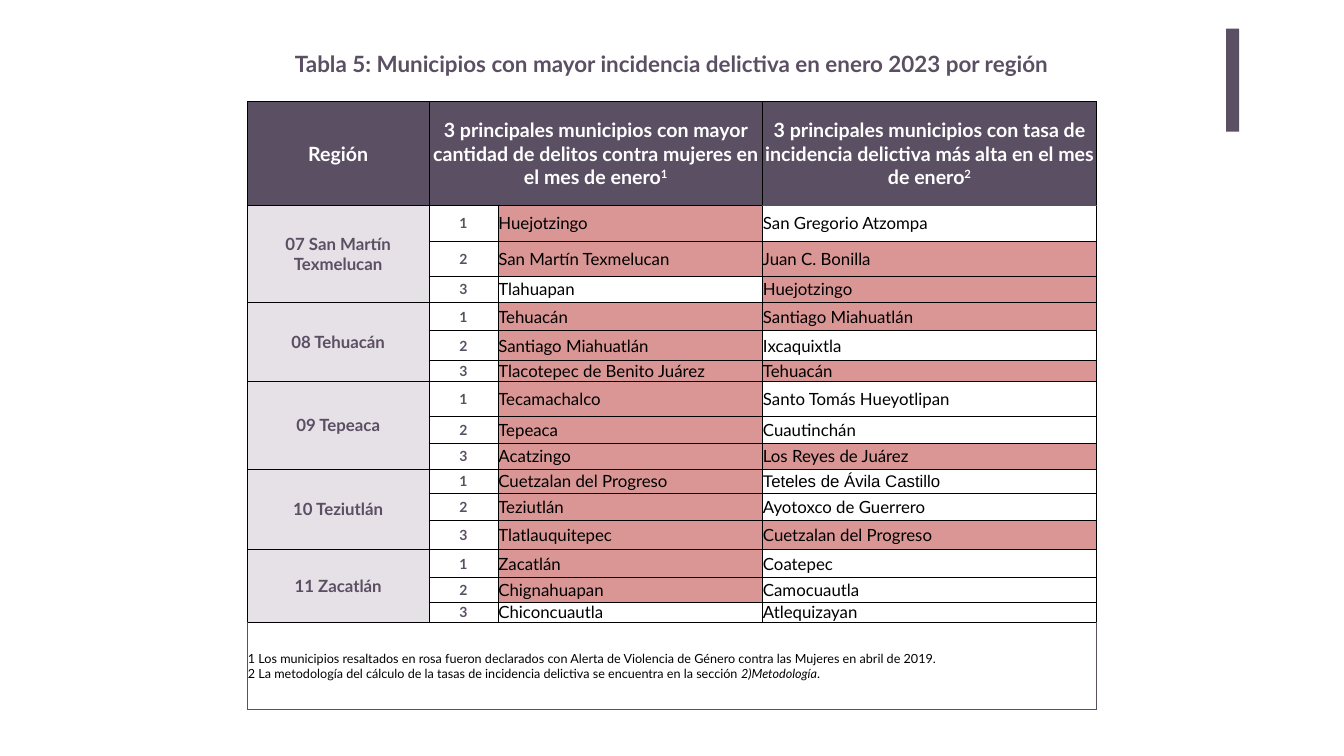
import pptx
import pptx.util
import pptx.dml.color
import pptx.enum.shapes
import pptx.enum.text
import pptx.oxml
import pptx.oxml.ns

Inches = pptx.util.Inches
ALIGN = pptx.enum.text.PP_ALIGN
MIDDLE = pptx.enum.text.MSO_ANCHOR.MIDDLE
PURPLE, LILAC, PINK, WHITE, BLACK = "5B4F63", "E5E1E7", "D99694", "FFFFFF", "000000"


def paint(color_target, color):
    if hasattr(color_target, "solid"):
        color_target.solid()
        color_target = color_target.fore_color
    color_target.rgb = pptx.dml.color.RGBColor.from_string(color)


def write(paragraph, text, size=24, color=BLACK, bold=False, italic=False,
          font="Lato", align=ALIGN.LEFT, superscript=False):
    paragraph.alignment = align
    run = paragraph.add_run()
    run.text = text
    run.font.name = font
    run.font.size = pptx.util.Pt(size)
    run.font.bold = bold
    run.font.italic = italic
    paint(run.font.color, color)
    if superscript:
        run.font._element.set("baseline", "30000")


presentation = pptx.Presentation()
presentation.slide_width = Inches(26.67)
presentation.slide_height = Inches(15)
slide = presentation.slides.add_slide(presentation.slide_layouts[6])

accent_bar = slide.shapes.add_shape(
    pptx.enum.shapes.MSO_SHAPE.RECTANGLE,
    Inches(24.33), Inches(0.57), Inches(0.26), Inches(2.04))
accent_bar.shadow.inherit = False
paint(accent_bar.fill, PURPLE)
accent_bar.line.fill.background()

title = slide.shapes.add_textbox(Inches(4.24), Inches(0.95), Inches(18.18), Inches(0.64))
title.text_frame.word_wrap = True
write(title.text_frame.paragraphs[0],
      "Tabla 5: Municipios con mayor incidencia delictiva en enero 2023 por región",
      size=32, color=PURPLE, bold=True, align=ALIGN.CENTER)

regions = [
    ("07 San Martín Texmelucan", [
        ("Huejotzingo", "San Gregorio Atzompa"),
        ("San Martín Texmelucan", "Juan C. Bonilla"),
        ("Tlahuapan", "Huejotzingo")]),
    ("08 Tehuacán", [
        ("Tehuacán", "Santiago Miahuatlán"),
        ("Santiago Miahuatlán", "Ixcaquixtla"),
        ("Tlacotepec de Benito Juárez", "Tehuacán")]),
    ("09 Tepeaca", [
        ("Tecamachalco", "Santo Tomás Hueyotlipan"),
        ("Tepeaca", "Cuautinchán"),
        ("Acatzingo", "Los Reyes de Juárez")]),
    ("10 Teziutlán", [
        ("Cuetzalan del Progreso", "Teteles de Ávila Castillo"),
        ("Teziutlán", "Ayotoxco de Guerrero"),
        ("Tlatlauquitepec", "Cuetzalan del Progreso")]),
    ("11 Zacatlán", [
        ("Zacatlán", "Coatepec"),
        ("Chignahuapan", "Camocuautla"),
        ("Chiconcuautla", "Atlequizayan")]),
]
without_alert = {
    "San Gregorio Atzompa", "Tlahuapan", "Ixcaquixtla", "Santo Tomás Hueyotlipan",
    "Cuautinchán", "Teteles de Ávila Castillo", "Ayotoxco de Guerrero", "Coatepec",
    "Camocuautla", "Chiconcuautla", "Atlequizayan"}
column_widths = [3.6, 1.37, 5.25, 6.63]
row_heights = [2.07, 0.7, 0.7, 0.52, 0.56, 0.59, 0.38, 0.7, 0.53,
               0.52, 0.48, 0.54, 0.57, 0.56, 0.48, 0.38, 1.73]
note_row = len(row_heights) - 1

table = slide.shapes.add_table(
    len(row_heights), len(column_widths), Inches(4.91), Inches(2.01),
    Inches(sum(column_widths)), Inches(sum(row_heights))).table
table.first_row = False
table.horz_banding = False
for column, width in zip(table.columns, column_widths):
    column.width = Inches(width)
for row, height in zip(table.rows, row_heights):
    row.height = Inches(height)

for row_index in range(len(row_heights)):
    for column_index in range(len(column_widths)):
        cell = table.cell(row_index, column_index)
        cell.vertical_anchor = MIDDLE
        cell.margin_left = cell.margin_right = cell.margin_top = Inches(0.01)
        cell.margin_bottom = 0
        properties = cell._tc.get_or_add_tcPr()
        for side in "LRTB":
            color, width = BLACK, 0.5
            if row_index == note_row and side != "T":
                color, width = PURPLE, 1
            elif column_index == 3 and (row_index, side) in [(0, "B"), (1, "T")]:
                color = PURPLE
            properties.append(pptx.oxml.parse_xml(
                f'<a:ln{side} {pptx.oxml.ns.nsdecls("a")} w="{pptx.util.Pt(width)}">'
                f'<a:solidFill><a:srgbClr val="{color}"/></a:solidFill></a:ln{side}>'))
        if row_index == 0:
            paint(cell.fill, PURPLE)
        else:
            cell.fill.background()

table.cell(0, 1).merge(table.cell(0, 2))
table.cell(note_row, 0).merge(table.cell(note_row, 3))

headers = [
    (0, "Región", ""),
    (1, "3 principales municipios con mayor cantidad de delitos contra mujeres en el mes de enero", "1"),
    (3, "3 principales municipios con tasa de incidencia delictiva más alta en el mes de enero", "2"),
]
for column_index, text, mark in headers:
    paragraph = table.cell(0, column_index).text_frame.paragraphs[0]
    header_format = dict(size=28, color=WHITE, bold=True, align=ALIGN.CENTER)
    write(paragraph, text, **header_format)
    if mark:
        write(paragraph, mark, superscript=True, **header_format)

for region_index, (region, municipalities) in enumerate(regions):
    first_row = 1 + 3 * region_index
    region_cell = table.cell(first_row, 0)
    region_cell.merge(table.cell(first_row + 2, 0))
    paint(region_cell.fill, LILAC)
    write(region_cell.text_frame.paragraphs[0], region,
          color=PURPLE, bold=True, align=ALIGN.CENTER)
    for rank, pair in enumerate(municipalities, 1):
        row_index = first_row + rank - 1
        write(table.cell(row_index, 1).text_frame.paragraphs[0], str(rank),
              size=20, color=PURPLE, bold=True, align=ALIGN.CENTER)
        for column_index, name in enumerate(pair, 2):
            cell = table.cell(row_index, column_index)
            paint(cell.fill, WHITE if name in without_alert else PINK)
            write(cell.text_frame.paragraphs[0], name,
                  font="Arial" if name == "Teteles de Ávila Castillo" else "Lato")

notes = table.cell(note_row, 0).text_frame.paragraphs[0]
write(notes, "1 Los municipios resaltados en rosa fueron declarados con Alerta de Violencia "
             "de Género contra las Mujeres en abril de 2019.", size=18)
notes.add_line_break()
write(notes, "2 La metodología del cálculo de la tasas de incidencia delictiva "
             "se encuentra en la sección ", size=18)
write(notes, "2)Metodología", size=18, italic=True)
write(notes, ".", size=18)

presentation.save("out.pptx")
